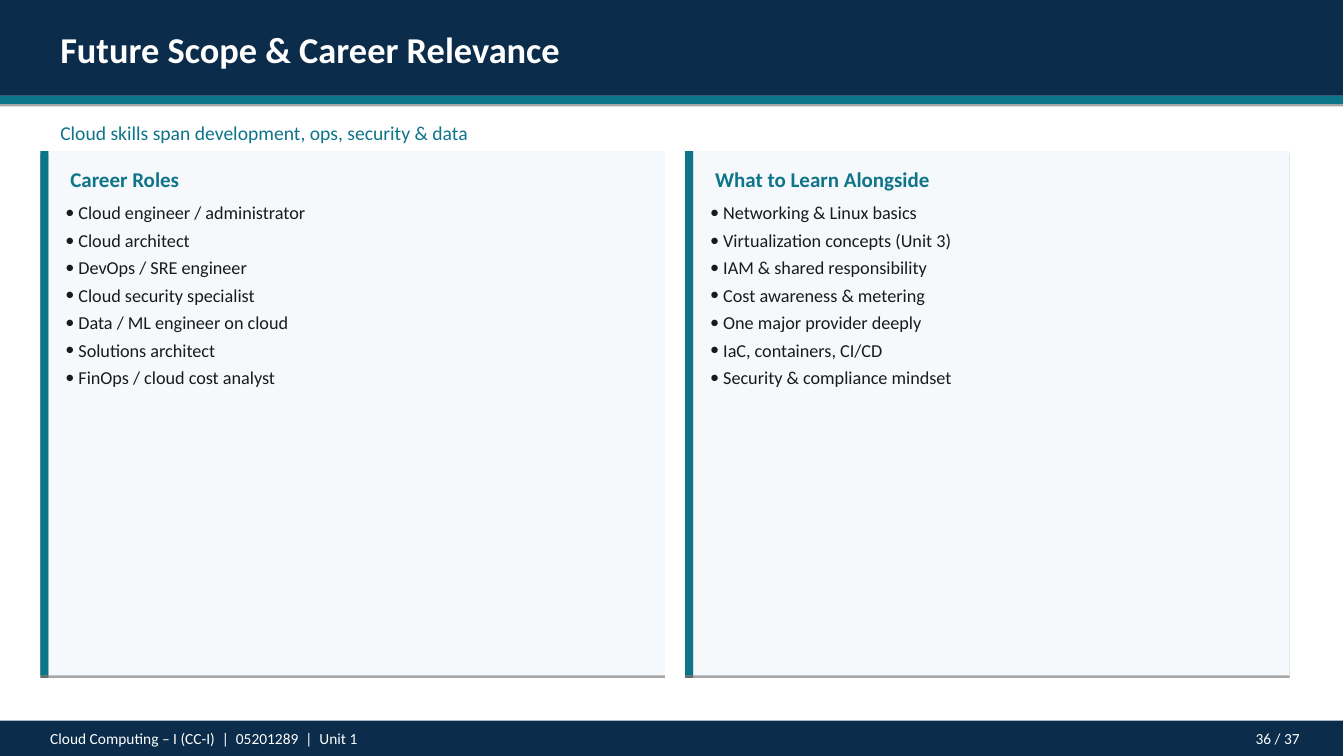
import pptx
import pptx.dml.color
import pptx.enum.shapes
import pptx.enum.text
import pptx.oxml
import pptx.oxml.ns
import pptx.util
from dataclasses import dataclass

EMU_PER_PX = 9144  # 100 px to the inch
ALIGN = pptx.enum.text.PP_ALIGN
NAMESPACE = pptx.oxml.ns.nsdecls("a")
SHADOW = (
    f'<a:effectLst {NAMESPACE}><a:outerShdw blurRad="0" dist="23000" dir="5400000" '
    'rotWithShape="0"><a:srgbClr val="000000"><a:alpha val="35000"/></a:srgbClr>'
    "</a:outerShdw></a:effectLst>"
)


@dataclass(frozen=True)
class Theme:
    font: str = "Calibri"
    navy: str = "0B2C4A"
    teal: str = "0E748A"
    panel: str = "F5F9FB"
    ink: str = "1A1A1A"
    white: str = "FFFFFF"
    title_size: int = 26
    heading_size: int = 15
    subtitle_size: int = 14
    body_size: int = 13
    footer_size: int = 11


def px(length):
    return pptx.util.Emu(length * EMU_PER_PX)


def rgb(value):
    return pptx.dml.color.RGBColor.from_string(value)


class SlideBuilder:
    def __init__(self, deck, theme):
        self.theme = theme
        self.page = deck.slides.add_slide(deck.slide_layouts[6])
        fill = self.page.background.fill
        fill.solid()
        fill.fore_color.rgb = rgb(theme.white)

    def bar(self, left, top, width, height, color):
        shape = self.page.shapes.add_shape(
            pptx.enum.shapes.MSO_SHAPE.RECTANGLE, *map(px, (left, top, width, height))
        )
        shape.fill.solid()
        shape.fill.fore_color.rgb = rgb(color)
        shape.line.fill.background()
        shape._element.spPr.append(pptx.oxml.parse_xml(SHADOW))

    def text(self, left, top, width, height, lines, size, color,
             bold=False, align=ALIGN.LEFT, bullets=False):
        box = self.page.shapes.add_textbox(*map(px, (left, top, width, height)))
        frame = box.text_frame
        frame.word_wrap = True
        frame.auto_size = pptx.enum.text.MSO_AUTO_SIZE.SHAPE_TO_FIT_TEXT
        font_format = {"name": self.theme.font, "size": pptx.util.Pt(size), "bold": bold}
        for index, line in enumerate(lines):
            para = frame.add_paragraph() if index else frame.paragraphs[0]
            para.alignment = align
            if bullets:
                self.bullet(para)
                para.space_after = pptx.util.Pt(4)
            span = para.add_run()
            span.text = line
            for name, value in font_format.items():
                setattr(span.font, name, value)
            span.font.color.rgb = rgb(color)

    def bullet(self, para):
        properties = para._p.get_or_add_pPr()
        indent = px(13)
        properties.set("marL", str(indent))
        properties.set("indent", str(-indent))
        for tag in (f'buFont {NAMESPACE} typeface="{self.theme.font}"',
                    f'buChar {NAMESPACE} char="•"'):
            properties.append(pptx.oxml.parse_xml(f"<a:{tag}/>"))

    def card(self, left, width, heading, items):
        theme = self.theme
        top, height = 150, 520
        self.bar(left, top, width, height, theme.panel)
        self.bar(left, top, 8, height, theme.teal)
        self.text(left + 20, top + 10, width - 30, 35, [heading],
                  theme.heading_size, theme.teal, bold=True)
        self.text(left + 15, top + 45, width - 25, 197, items,
                  theme.body_size, theme.ink, bullets=True)


def main():
    theme = Theme()
    deck = pptx.Presentation()
    deck.slide_width, deck.slide_height = px(1334), px(750)
    slide = SlideBuilder(deck, theme)
    full_width = 1333

    # Header
    slide.bar(0, 0, full_width, 95, theme.navy)
    slide.bar(0, 95, full_width, 8, theme.teal)
    slide.text(50, 22, 1150, 53, ["Future Scope & Career Relevance"],
               theme.title_size, theme.white, bold=True)
    slide.text(50, 115, 1200, 33, ["Cloud skills span development, ops, security & data"],
               theme.subtitle_size, theme.teal)

    # Footer
    slide.bar(0, 715, full_width, 35, theme.navy)
    slide.text(40, 718, 900, 28, ["Cloud Computing – I (CC-I)  |  05201289  |  Unit 1"],
               theme.footer_size, theme.white)
    slide.text(1120, 718, 180, 28, ["36 / 37"],
               theme.footer_size, theme.white, align=ALIGN.RIGHT)

    # Two cards
    slide.card(40, 620, "Career Roles", [
        "Cloud engineer / administrator",
        "Cloud architect",
        "DevOps / SRE engineer",
        "Cloud security specialist",
        "Data / ML engineer on cloud",
        "Solutions architect",
        "FinOps / cloud cost analyst",
    ])
    slide.card(680, 600, "What to Learn Alongside", [
        "Networking & Linux basics",
        "Virtualization concepts (Unit 3)",
        "IAM & shared responsibility",
        "Cost awareness & metering",
        "One major provider deeply",
        "IaC, containers, CI/CD",
        "Security & compliance mindset",
    ])

    deck.save("out.pptx")


if __name__ == "__main__":
    main()
